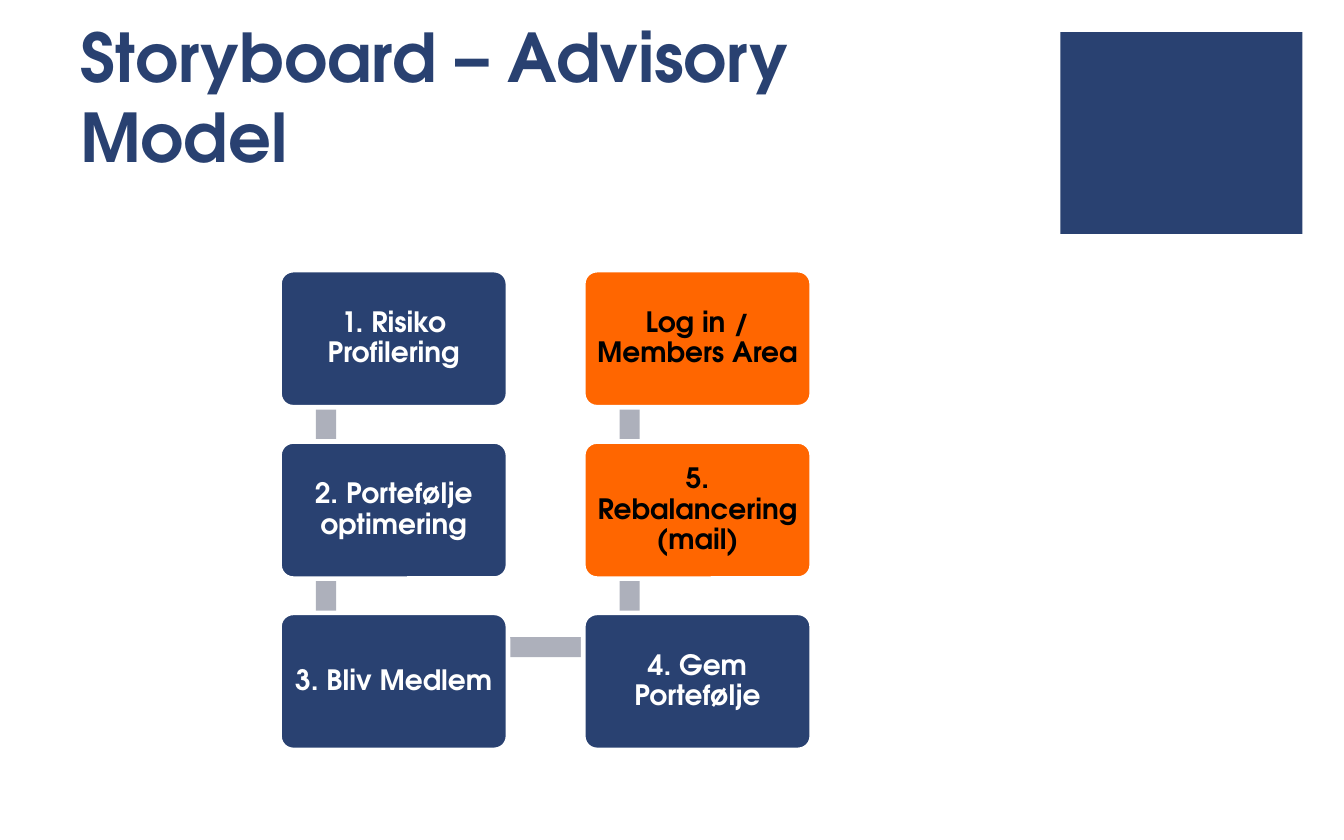
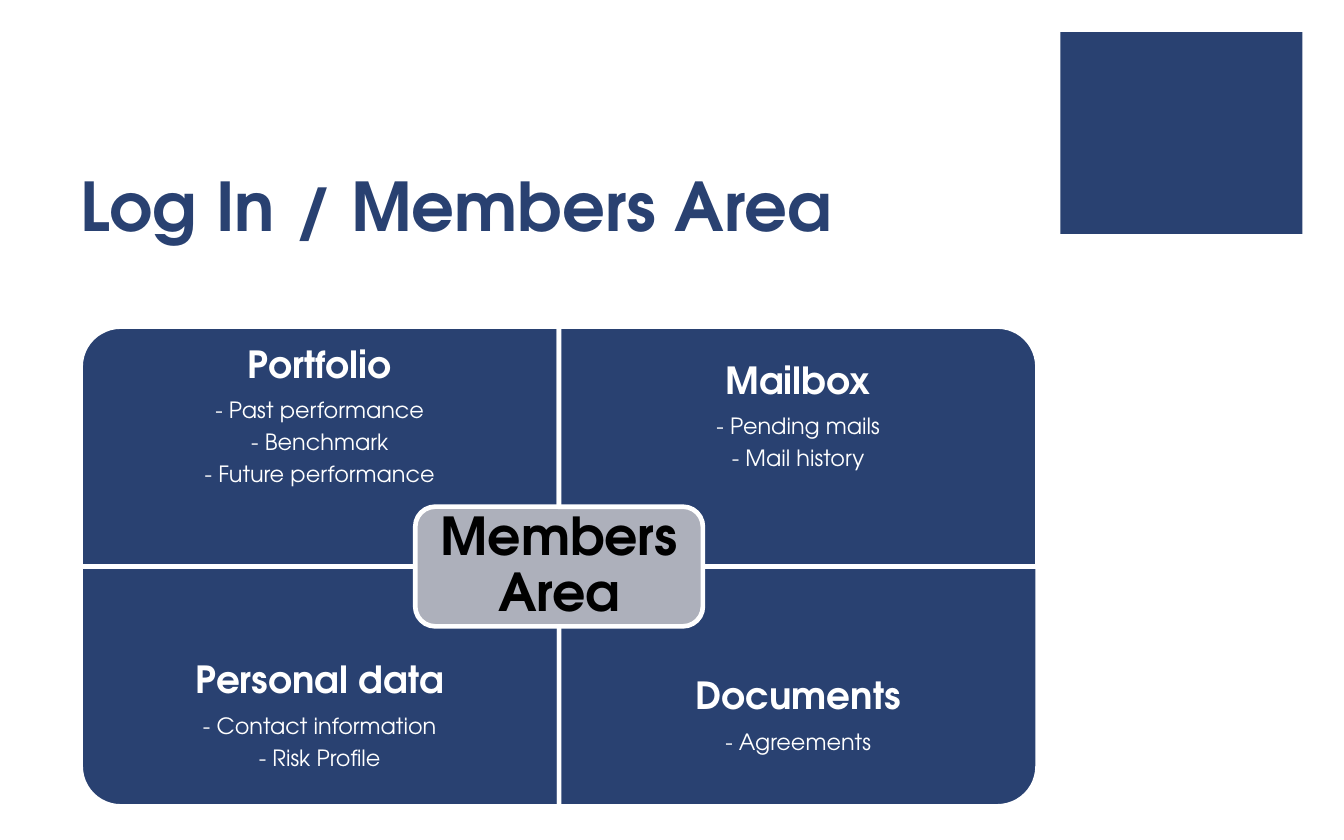
import math

from pptx import Presentation
from pptx import util as u
from pptx.dml.color import RGBColor
from pptx.enum import shapes, text

EMU_PER_PX = 9144  # 100 px to the inch
FONT = "TeX Gyre Adventor"
NAVY = RGBColor(0x29, 0x41, 0x71)
ORANGE = RGBColor(0xFF, 0x66, 0x00)
GREY = RGBColor(0xAD, 0xB0, 0xBB)
WHITE = RGBColor(0xFF, 0xFF, 0xFF)
BLACK = RGBColor(0x00, 0x00, 0x00)

CORNER_BLOCK = (789, 24, 180, 150)

# label, column, row, fill, text colour; in walking order
STEPS = [
    ("1. Risiko Profilering", 0, 0, NAVY, WHITE),
    ("2. Portefølje optimering", 0, 1, NAVY, WHITE),
    ("3. Bliv Medlem", 0, 2, NAVY, WHITE),
    ("4. Gem Portefølje", 1, 2, NAVY, WHITE),
    ("5. Rebalancering (mail)", 1, 1, ORANGE, BLACK),
    ("Log in / Members Area", 1, 0, ORANGE, BLACK),
]
STEP_W, STEP_H = 170, 102
STEP_LEFT, STEP_TOP = 208, 201
STEP_PITCH_X, STEP_PITCH_Y = 226, 127.5
BAR_THICKNESS = 15
BAR_ANCHOR_X, BAR_ANCHOR_Y = 34.5, 25.5

# heading, details, rotation that turns the rounded corner outwards
AREAS = [
    ("Portfolio", ["- Past performance", "- Benchmark", "- Future performance"], 270),
    ("Mailbox", ["- Pending mails", "- Mail history"], 0),
    ("Personal data", ["- Contact information", "- Risk Profile"], 180),
    ("Documents", ["- Agreements"], 90),
]
AREA_LEFT, AREA_TOP = 60, 243
AREA_W, AREA_H = 356, 178.5
AREA_TEXT_H = 134
HUB_W, HUB_H = 214, 89


def px(*lengths):
    return [u.Emu(round(length * EMU_PER_PX)) for length in lengths]


def add_block(slide, kind, box, fill, outlined=False, rotation=0):
    block = slide.shapes.add_shape(kind, *px(*box))
    block.shadow.inherit = False
    block.rotation = rotation
    block.fill.solid()
    block.fill.fore_color.rgb = fill
    if outlined:
        block.line.color.rgb = WHITE
        block.line.width = u.Pt(2.5)
    else:
        block.line.fill.background()
    return block


def style_paragraph(paragraph, size, color, bold=True):
    for run in paragraph.runs:
        run.font.name = FONT
        run.font.size = u.Pt(size)
        run.font.bold = bold
        run.font.color.rgb = color


def write_centred(shape, margin, lines, color):
    """Fill a shape with centred (words, size, bold) lines."""
    frame = shape.text_frame
    frame.word_wrap = True
    frame.vertical_anchor = text.MSO_ANCHOR.MIDDLE
    frame.margin_left, frame.margin_top, frame.margin_right, frame.margin_bottom = px(*[margin] * 4)
    frame.text = "\n".join(words for words, _, _ in lines)
    for paragraph, (_, size, bold) in zip(frame.paragraphs, lines):
        paragraph.alignment = text.PP_ALIGN.CENTER
        paragraph.line_spacing = 0.9
        paragraph.space_after = u.Pt(0.35 * size)
        style_paragraph(paragraph, size, color, bold)


def add_titled_slide(deck, title, title_top):
    slide = deck.slides.add_slide(deck.slide_layouts[6])
    add_block(slide, shapes.MSO_SHAPE.RECTANGLE, CORNER_BLOCK, NAVY)
    frame = slide.shapes.add_textbox(*px(50, title_top, 712, 104)).text_frame
    frame.word_wrap = True
    frame.vertical_anchor = text.MSO_ANCHOR.BOTTOM
    frame.text = title
    style_paragraph(frame.paragraphs[0], 36, NAVY)
    return slide


def step_corner(step):
    _, column, row, _, _ = step
    return STEP_LEFT + column * STEP_PITCH_X, STEP_TOP + row * STEP_PITCH_Y


def add_bar(slide, step, following):
    """Lay a bar from one step to the following one."""
    x1, y1 = step_corner(step)
    x2, y2 = step_corner(following)
    length = math.hypot(x2 - x1, y2 - y1)
    center_x = (x1 + x2) / 2 + BAR_ANCHOR_X
    center_y = (y1 + y2) / 2 + BAR_ANCHOR_Y
    box = (center_x - length / 2, center_y - BAR_THICKNESS / 2, length, BAR_THICKNESS)
    angle = math.degrees(math.atan2(y2 - y1, x2 - x1)) % 360
    add_block(slide, shapes.MSO_SHAPE.RECTANGLE, box, GREY, rotation=angle)


def build_storyboard(deck):
    slide = add_titled_slide(deck, "Storyboard – Advisory Model", 32)
    for step, following in zip(STEPS, STEPS[1:] + [None]):
        if following:
            add_bar(slide, step, following)
        label, _, _, fill, color = step
        card = add_block(slide, shapes.MSO_SHAPE.ROUNDED_RECTANGLE,
                         (*step_corner(step), STEP_W, STEP_H), fill, outlined=True)
        card.adjustments[0] = 0.1
        write_centred(card, 6, [(label, 15, True)], color)


def build_members_area(deck):
    slide = add_titled_slide(deck, "Log In / Members Area", 83)
    for index, (heading, details, rotation) in enumerate(AREAS):
        row, column = divmod(index, 2)
        left, top = AREA_LEFT + column * AREA_W, AREA_TOP + row * AREA_H
        # a quarter turn swaps width and height around the same centre
        w, h = (AREA_H, AREA_W) if rotation % 180 else (AREA_W, AREA_H)
        box = (left + (AREA_W - w) / 2, top + (AREA_H - h) / 2, w, h)
        add_block(slide, shapes.MSO_SHAPE.ROUND_1_RECTANGLE, box, NAVY, outlined=True, rotation=rotation)
        text_top = top + row * (AREA_H - AREA_TEXT_H)
        caption = slide.shapes.add_textbox(*px(left, text_top, AREA_W, AREA_TEXT_H))
        lines = [(heading, 20, True)] + [(detail, 12, False) for detail in details]
        write_centred(caption, 16, lines, WHITE)

    hub_box = (AREA_LEFT + AREA_W - HUB_W / 2, AREA_TOP + AREA_H - HUB_H / 2, HUB_W, HUB_H)
    hub = add_block(slide, shapes.MSO_SHAPE.ROUNDED_RECTANGLE, hub_box, GREY, outlined=True)
    write_centred(hub, 12, [("Members Area", 28, True)], BLACK)


def main():
    deck = Presentation()
    deck.slide_width, deck.slide_height = px(1000, 625)
    build_storyboard(deck)
    build_members_area(deck)
    deck.save("out.pptx")


if __name__ == "__main__":
    main()
